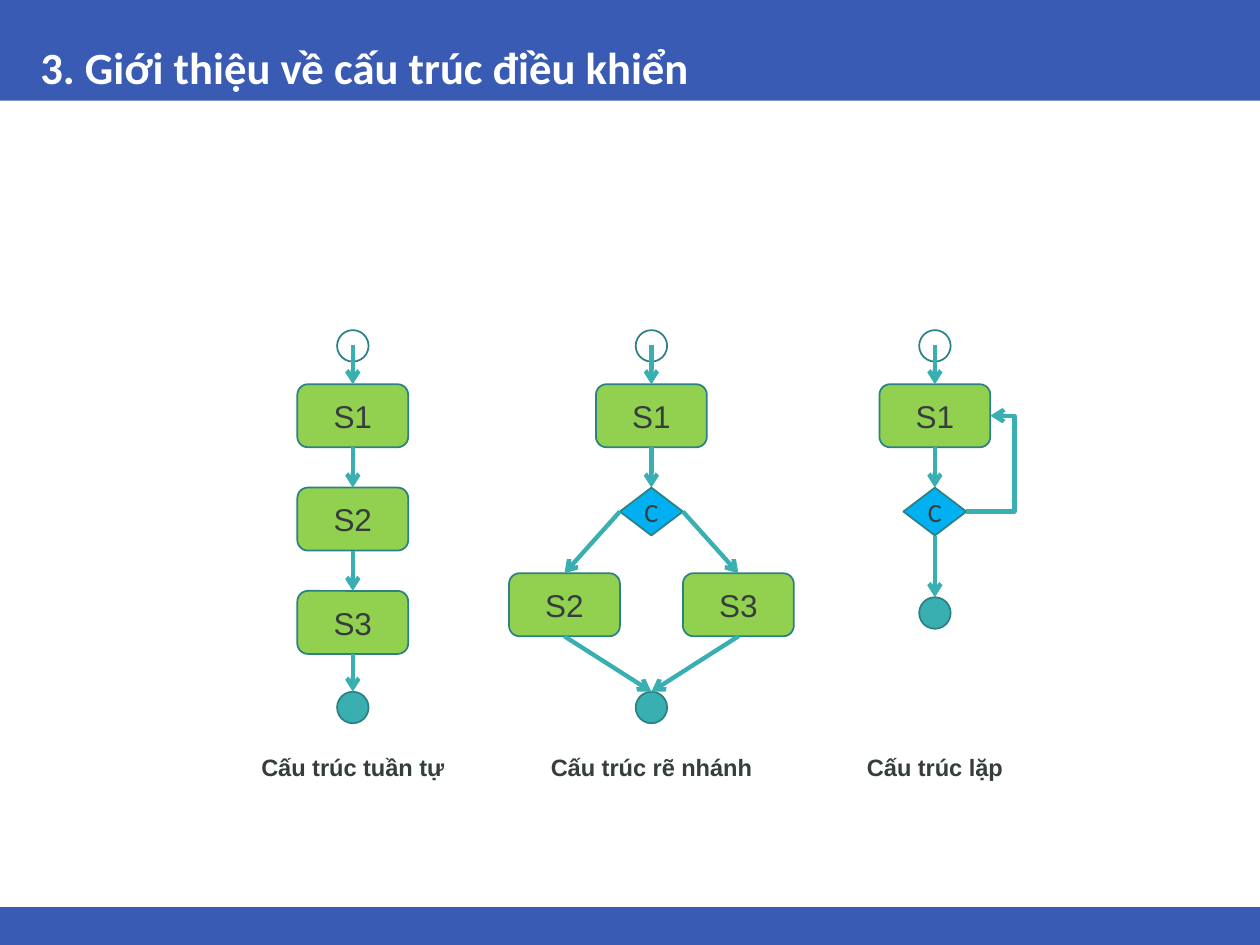
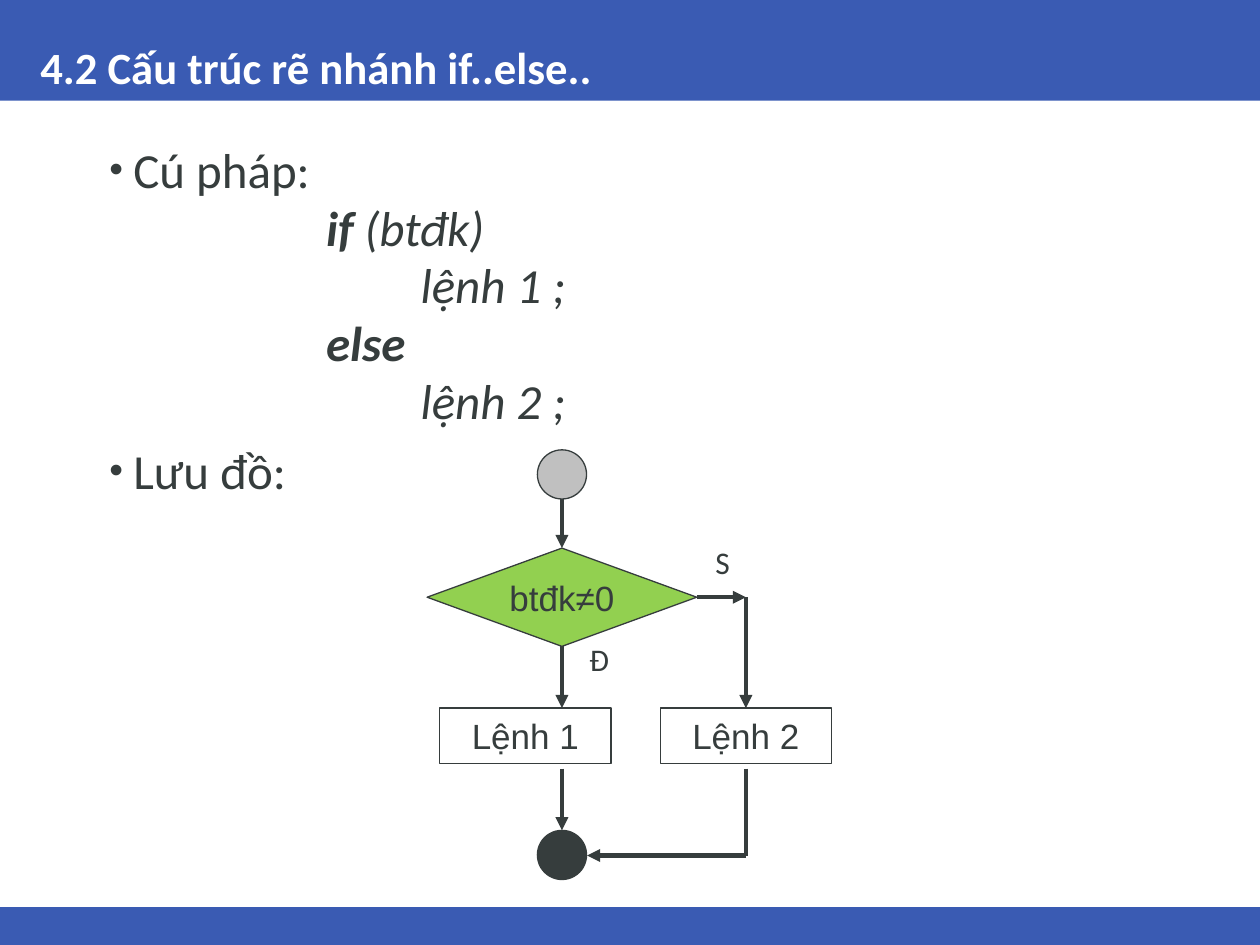
import pptx
import pptx.dml.color
import pptx.enum.shapes
import pptx.enum.text
import pptx.oxml
import pptx.oxml.ns
import pptx.util
from pptx.util import Inches

SHAPE = pptx.enum.shapes.MSO_SHAPE
CONNECTOR = pptx.enum.shapes.MSO_CONNECTOR
ANCHOR = pptx.enum.text.MSO_ANCHOR
ALIGN = pptx.enum.text.PP_ALIGN
TOP, LEFT, BOTTOM, RIGHT = range(4)

BAND, INK, WHITE = "3A5BB3", "363D3D", "FFFFFF"
TEAL, DARK_TEAL = "3AAFB2", "2B8184"
GREEN, SKY, GREY = "92D050", "00B0F0", "C0C0C0"

TITLE = {"name": "Calibri", "size": 25.5, "bold": True, "color": WHITE}
STEP = {"name": "Arial", "size": 18, "color": INK}
CHOICE = {"name": "Calibri", "size": 15, "color": INK}
CAPTION = {"name": "Arial", "size": 13.5, "bold": True, "color": INK}
COMMAND = {"name": "Arial", "size": 20, "color": INK}
BRANCH = {"name": "Calibri", "size": 18, "color": INK}
BODY = {"name": "Calibri", "size": 28, "color": INK}
CODE = {**BODY, "italic": True}
KEYWORD = {**CODE, "bold": True}


def rgb(value):
    return pptx.dml.color.RGBColor.from_string(value)


def add_xml(parent, tag, **attributes):
    child = pptx.oxml.parse_xml(f"<a:{tag} {pptx.oxml.ns.nsdecls('a')}/>")
    for name, value in attributes.items():
        child.set(name, str(value))
    parent.append(child)


def add_span(para, text, style):
    span = para.add_run()
    span.text = text
    for name, value in style.items():
        if name == "color":
            span.font.color.rgb = rgb(value)
        else:
            setattr(span.font, name, pptx.util.Pt(value) if name == "size" else value)


class Lecture:
    """Holds the deck, the current page and the style of its diagrams."""

    def __init__(self):
        self.deck = pptx.Presentation()
        self.deck.slide_width, self.deck.slide_height = Inches(10), Inches(7.5)
        self.layout = self.deck.slide_layouts.get_by_name("Title Only")
        self.page = None

    def start_page(self, title, outline, outline_width, arrow, arrowhead):
        self.outline, self.outline_width = outline, outline_width
        self.arrow_color, self.arrowhead = arrow, arrowhead
        self.page = self.deck.slides.add_slide(self.layout)
        if len(self.deck.slides) == 1:
            self.put_bands_on_layout()
        box = self.page.shapes.title
        box.left, box.top, box.width, box.height = map(Inches, (0.22, 0, 9.57, 0.8))
        frame = box.text_frame
        frame.auto_size = pptx.enum.text.MSO_AUTO_SIZE.NONE
        frame.vertical_anchor = ANCHOR.BOTTOM
        para = frame.paragraphs[0]
        para.alignment, para.line_spacing = ALIGN.LEFT, 0.9
        add_span(para, title, TITLE)

    def put_bands_on_layout(self):
        for top, height in ((0, 0.8), (7.2, 0.3)):
            band = self.shape(SHAPE.RECTANGLE, (0, top, 10, height), BAND)
            band.line.fill.background()
            self.layout.shapes._spTree.insert(2, band._element)

    def shape(self, kind, place, fill=None, text="", style=None):
        shape = self.page.shapes.add_shape(kind, *map(Inches, place))
        shape.shadow.inherit = False
        if fill:
            shape.fill.solid()
            shape.fill.fore_color.rgb = rgb(fill)
        else:
            shape.fill.background()
        shape.line.color.rgb = rgb(self.outline)
        shape.line.width = pptx.util.Pt(self.outline_width)
        if text:
            frame = shape.text_frame
            frame.word_wrap, frame.vertical_anchor = False, ANCHOR.MIDDLE
            frame.margin_left = frame.margin_right = 0
            frame.paragraphs[0].alignment = ALIGN.CENTER
            add_span(frame.paragraphs[0], text, style)
        return shape

    def step(self, center, top, text):
        return self.shape(SHAPE.ROUNDED_RECTANGLE, (center - 0.44, top, 0.88, 0.5),
                          GREEN, text, STEP)

    def choice(self, center, top):
        return self.shape(SHAPE.DIAMOND, (center - 0.25, top, 0.5, 0.38), SKY, "C", CHOICE)

    def circle(self, center, top, size, fill=None):
        return self.shape(SHAPE.OVAL, (center - size / 2, top, size, size), fill)

    def text_box(self, place):
        box = self.page.shapes.add_textbox(*map(Inches, place))
        box.text_frame.word_wrap = True
        return box.text_frame

    def label(self, place, text, style):
        para = self.text_box(place).paragraphs[0]
        para.alignment = ALIGN.CENTER
        add_span(para, text, style)

    def connect(self, begin, end, pointed=True, kind=CONNECTOR.STRAIGHT):
        """Join two ends, each an (x, y) point or a (shape, side) pair."""
        points = [(0, 0) if hasattr(stop[0], "shape_id") else tuple(map(Inches, stop))
                  for stop in (begin, end)]
        line = self.page.shapes.add_connector(kind, *points[0], *points[1])
        for stop, join in ((begin, line.begin_connect), (end, line.end_connect)):
            if hasattr(stop[0], "shape_id"):
                join(*stop)
        line.line.color.rgb = rgb(self.arrow_color)
        line.line.width = pptx.util.Pt(2.5)
        if pointed:
            add_xml(line.line._get_or_add_ln(), "tailEnd", type=self.arrowhead)
        add_xml(line._element.spPr, "effectLst")
        return line

    def chain(self, *shapes):
        for upper, lower in zip(shapes, shapes[1:]):
            # An oval has eight joints, but only its top one is used here.
            self.connect((upper, BOTTOM), (lower, TOP))

    def start_flow(self, center):
        """Draw the open start circle and its arrow into the first step."""
        self.circle(center, 2.62, 0.25)
        first = self.step(center, 3.05, "S1")
        self.connect((center, 2.74), (first, TOP))
        return first

    def outline_text(self, place, lines):
        """Write lines of (indent, bulleted, spans)."""
        frame = self.text_box(place)
        for index, (indent, bulleted, spans) in enumerate(lines):
            para = frame.add_paragraph() if index else frame.paragraphs[0]
            para.line_spacing = 0.8
            para.space_before = pptx.util.Pt(13.5 if bulleted else 6)
            properties = para._p.get_or_add_pPr()
            properties.set("marL", str(Inches(indent)))
            if bulleted:
                properties.set("indent", str(Inches(-0.19)))
                add_xml(properties, "buSzPct", val=80000)
                add_xml(properties, "buFont", typeface="Arial")
                add_xml(properties, "buChar", char="•")
            for text, style in spans:
                add_span(para, text, style)


def build_control_structures(lecture):
    lecture.start_page("3. Giới thiệu về cấu trúc điều khiển", DARK_TEAL, 1, TEAL, "arrow")

    sequence = 2.8
    steps = [lecture.start_flow(sequence)]
    steps += [lecture.step(sequence, 3.05 + 0.82 * i, f"S{i + 1}") for i in (1, 2)]
    lecture.chain(*steps, lecture.circle(sequence, 5.49, 0.25, TEAL))

    branching = 5.17
    first = lecture.start_flow(branching)
    choice = lecture.choice(branching, 3.87)
    lecture.chain(first, choice)
    finish = lecture.circle(branching, 5.49, 0.25, TEAL)
    for side, offset, text in ((LEFT, -0.69, "S2"), (RIGHT, 0.69, "S3")):
        branch = lecture.step(branching + offset, 4.55, text)
        lecture.connect((choice, side), (branch, TOP))
        lecture.chain(branch, finish)

    looping = 7.42
    repeated = lecture.start_flow(looping)
    choice = lecture.choice(looping, 3.87)
    lecture.chain(repeated, choice, lecture.circle(looping, 4.74, 0.25, TEAL))
    loop = lecture.connect((choice, RIGHT), (repeated, RIGHT), kind=CONNECTOR.ELBOW)
    guides = loop._element.spPr.prstGeom.get_or_add_avLst()
    add_xml(guides, "gd", name="adj1", fmla="val 200000")

    for center, text in ((sequence, "Cấu trúc tuần tự"), (branching, "Cấu trúc rẽ nhánh"),
                         (looping, "Cấu trúc lặp")):
        lecture.label((center - 0.94, 5.93, 1.88, 0.33), text, CAPTION)


def build_if_else(lecture):
    lecture.start_page("4.2 Cấu trúc rẽ nhánh if..else..", INK, 0.75, INK, "triangle")
    lecture.outline_text((0.73, 1.15, 7.31, 3.1), [
        (0.23, True, [("Cú pháp:", BODY)]),
        (1.76, False, [("if", KEYWORD), (" (btđk)", CODE)]),
        (2.51, False, [("lệnh 1 ;", CODE)]),
        (1.76, False, [("else", KEYWORD)]),
        (2.51, False, [("lệnh 2 ;", CODE)]),
        (0.23, True, [("Lưu đồ:", BODY)]),
    ])

    main_line, other_line = 4.46, 5.92
    lecture.circle(main_line, 3.57, 0.39, GREY)
    finish = lecture.circle(main_line, 6.59, 0.39, INK)
    decision = lecture.shape(SHAPE.FLOWCHART_DECISION, (main_line - 1.07, 4.35, 2.14, 0.78),
                             GREEN, "btđk≠0", COMMAND)
    lecture.shape(SHAPE.RECTANGLE, (3.49, 5.62, 1.36, 0.44), None, "Lệnh 1", COMMAND)
    second = lecture.shape(SHAPE.RECTANGLE, (5.24, 5.62, 1.36, 0.44), None, "Lệnh 2", COMMAND)

    lecture.connect((main_line, 3.96), (decision, TOP))
    lecture.connect((decision, BOTTOM), (main_line, 5.62))
    lecture.connect((main_line, 6.1), (finish, TOP))
    lecture.connect((decision, RIGHT), (other_line, 4.74))
    lecture.connect((other_line, 4.74), (second, TOP))
    lecture.connect((other_line, 6.1), (other_line, 6.79), pointed=False)
    lecture.connect((other_line, 6.79), (4.66, 6.79))
    lecture.label((4.56, 5.03, 0.39, 0.4), "Đ", BRANCH)
    lecture.label((5.54, 4.26, 0.39, 0.4), "S", BRANCH)


def main():
    lecture = Lecture()
    build_control_structures(lecture)
    build_if_else(lecture)
    lecture.deck.save("out.pptx")


if __name__ == "__main__":
    main()
